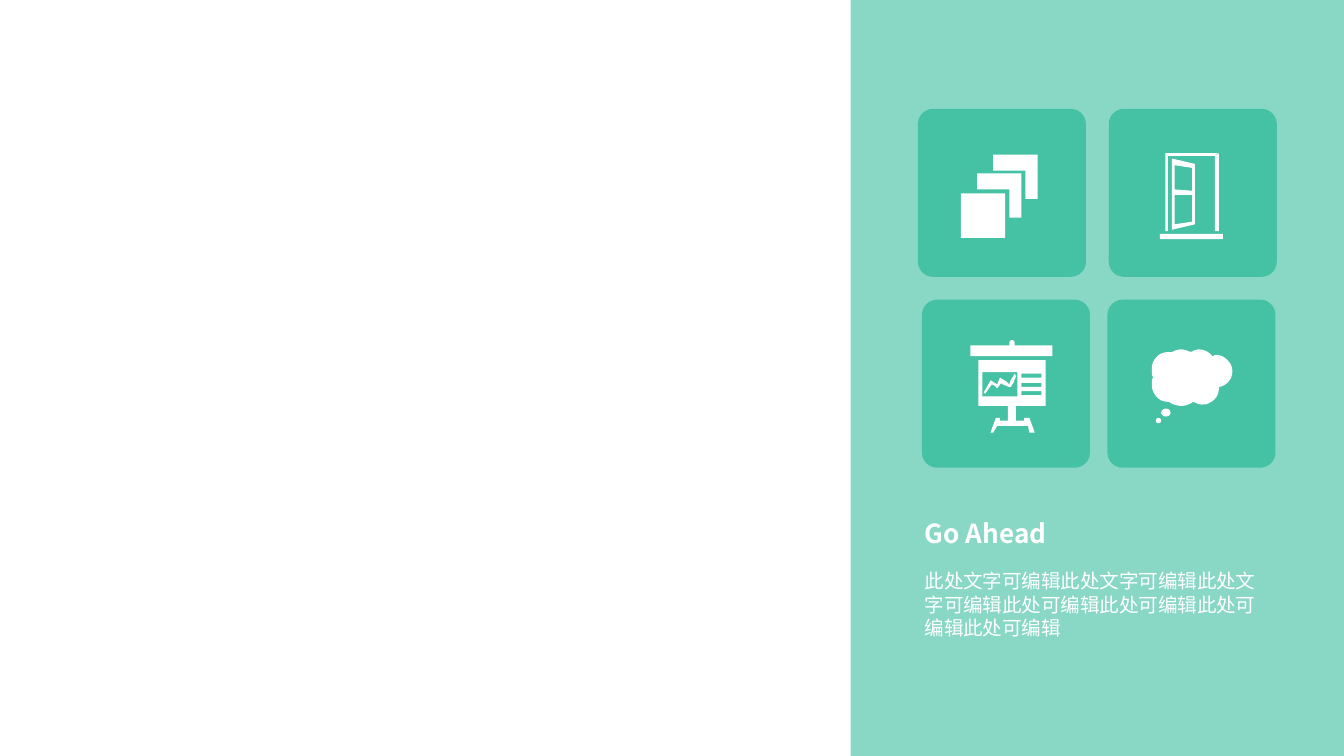
from lxml.etree import SubElement
from pptx import Presentation
from pptx.dml.color import RGBColor
from pptx.enum.shapes import MSO_SHAPE as Kind
from pptx.enum.text import MSO_AUTO_SIZE as Fit
from pptx.oxml.ns import qn
from pptx.util import Inches, Pt

COLORS = {"green": "45C1A4", "white": "FFFFFF"}
FONT = "Noto Sans CJK SC"
UNIT = 1000  # outline steps per inch
WIDE = 10
HIGH = WIDE * 9 / 16
BODY = "此处文字可编辑此处文字可编辑此处文字可编辑此处可编辑此处可编辑此处可编辑此处可编辑"


def box(x, y, w, h):
    return [(x, y), (x + w, y), (x + w, y + h), (x, y + h)]


def curve(start, arcs, steps=8):
    """Turn a chain of cubic arcs into points."""
    pts = [start]
    for arc in arcs:
        a, b, c, d = pts[-1], arc[:2], arc[2:4], arc[4:]
        for i in range(1, steps + 1):
            t = i / steps
            u = 1 - t
            pts.append(tuple(
                u**3 * a[k] + 3 * u * u * t * b[k]
                + 3 * u * t * t * c[k] + t**3 * d[k] for k in (0, 1)))
    return pts


class Deck:
    def __init__(self, w, h):
        self.prs = Presentation()
        self.prs.slide_width, self.prs.slide_height = Inches(w), Inches(h)
        self.slide = self.prs.slides.add_slide(self.prs.slide_layouts[6])
        self.root = self.slide.shapes

    def group(self):
        return self.root.add_group_shape().shapes

    def paint(self, shape, color):
        shape.shadow.inherit = False
        shape.fill.solid()
        shape.fill.fore_color.rgb = RGBColor.from_string(COLORS[color])
        shape.line.fill.background()
        return shape

    def shape(self, kind, at, color="white", into=None):
        item = (into or self.root).add_shape(kind, *map(Inches, at))
        return self.paint(item, color)

    def panel(self, at, alpha):
        item = self.shape(Kind.RECTANGLE, at, "green")
        tint = item.fill._xPr.find(".//" + qn("a:srgbClr"))
        SubElement(tint, qn("a:alpha")).set("val", str(alpha * 1000))

    def tile(self, x, y, size):
        item = self.shape(Kind.ROUNDED_RECTANGLE, (x, y, size, size), "green")
        item.adjustments[0] = 0.09

    def outline(self, into, *loops):
        """Draw one white shape; loops after the first cut holes."""
        pen = None
        for loop in loops:
            pts = [(x * UNIT, y * UNIT) for x, y in loop]
            if pen is None:
                pen = into.build_freeform(*pts[0], scale=Inches(1) / UNIT)
            else:
                pen.move_to(*pts[0])
            pen.add_line_segments(pts[1:], close=True)
        self.paint(pen.convert_to_shape(), "white")

    def text(self, at, rows):
        frame = self.root.add_textbox(*map(Inches, at)).text_frame
        frame.word_wrap = True
        frame.auto_size = Fit.NONE
        frame.margin_left = frame.margin_right = Inches(0.05)
        frame.margin_top = frame.margin_bottom = Inches(0.03)
        for i, (words, size, bold, gap) in enumerate(rows):
            para = frame.add_paragraph() if i else frame.paragraphs[0]
            para.text = words
            para.line_spacing = Pt(size * 1.2)
            para.space_before = Pt(gap)
            font = para.font
            font.name, font.size, font.bold = FONT, Pt(size), bold
            font.color.rgb = RGBColor.from_string(COLORS["white"])
            SubElement(font._rPr, qn("a:ea")).set("typeface", FONT)


def cloud(deck):
    art = deck.group()
    deck.shape(Kind.OVAL, (8.64, 3.04, 0.07, 0.06), into=art)
    deck.shape(Kind.OVAL, (8.6, 3.11, 0.04, 0.04), into=art)
    deck.outline(art, curve((9.17, 2.76), [
        (9.17, 2.7, 9.11, 2.64, 9.05, 2.64),
        (9.04, 2.64, 9.03, 2.65, 9.02, 2.65),
        (9, 2.62, 8.96, 2.6, 8.92, 2.6),
        (8.9, 2.6, 8.88, 2.61, 8.86, 2.62),
        (8.84, 2.61, 8.81, 2.6, 8.79, 2.6),
        (8.76, 2.6, 8.74, 2.61, 8.72, 2.62),
        (8.71, 2.62, 8.7, 2.62, 8.69, 2.62),
        (8.62, 2.62, 8.57, 2.68, 8.57, 2.74),
        (8.57, 2.77, 8.57, 2.79, 8.58, 2.81),
        (8.57, 2.82, 8.57, 2.85, 8.57, 2.86),
        (8.57, 2.93, 8.62, 2.99, 8.69, 2.99),
        (8.69, 2.99, 8.7, 2.99, 8.7, 2.99),
        (8.72, 3.01, 8.76, 3.02, 8.79, 3.02),
        (8.82, 3.02, 8.85, 3.01, 8.88, 2.99),
        (8.9, 3, 8.92, 3.01, 8.95, 3.01),
        (9.01, 3.01, 9.07, 2.96, 9.07, 2.89),
        (9.07, 2.89, 9.07, 2.88, 9.07, 2.88),
        (9.12, 2.87, 9.17, 2.83, 9.17, 2.76)]))


def stack(deck):
    art = deck.group()
    for x, y in [(7.27, 1.29), (7.39, 1.15)]:
        deck.outline(art, [
            (x, y), (x + 0.33, y), (x + 0.33, y + 0.33), (x + 0.24, y + 0.33),
            (x + 0.24, y + 0.12), (x, y + 0.12)])
    deck.shape(Kind.RECTANGLE, (7.15, 1.44, 0.33, 0.33), into=art)


def door(deck):
    art = deck.group()
    deck.outline(art, [(8.67, 1.14), (8.69, 1.16), (8.69, 1.72), (8.67, 1.72)])
    deck.outline(art, [(8.67, 1.14), (9.06, 1.14), (9.04, 1.16), (8.69, 1.16)])
    deck.outline(art, [(9.07, 1.14), (9.07, 1.72), (9.04, 1.72), (9.04, 1.16)])
    deck.shape(Kind.RECTANGLE, (8.63, 1.74, 0.47, 0.04), into=art)
    deck.outline(
        art,
        [(8.72, 1.18), (8.72, 1.71), (8.89, 1.67), (8.89, 1.22)],
        [(8.74, 1.23), (8.87, 1.25), (8.87, 1.42), (8.74, 1.41)],
        [(8.87, 1.65), (8.74, 1.67), (8.74, 1.45), (8.87, 1.45)])


def board(deck):
    art = deck.group()
    deck.outline(art, curve((7.55, 2.57), [
        (7.55, 2.55, 7.55, 2.55, 7.55, 2.55),
        (7.55, 2.54, 7.54, 2.53, 7.53, 2.53),
        (7.52, 2.53, 7.51, 2.54, 7.51, 2.55),
        (7.51, 2.57, 7.51, 2.57, 7.51, 2.57)])
        + [(7.22, 2.57), (7.22, 2.65), (7.83, 2.65), (7.83, 2.57)])
    stand = [
        (7.78, 3.02), (7.78, 2.68), (7.28, 2.68), (7.28, 3.02), (7.5, 3.02),
        (7.5, 3.13), (7.44, 3.13), (7.44, 3.11), (7.41, 3.11), (7.37, 3.22),
        (7.39, 3.22), (7.42, 3.17), (7.65, 3.17), (7.66, 3.22), (7.7, 3.22),
        (7.66, 3.11), (7.62, 3.11), (7.62, 3.13), (7.56, 3.13), (7.56, 3.02)]
    bars = [box(7.6, y, 0.15, 0.03) for y in (2.78, 2.85, 2.91)]
    deck.outline(art, stand, *bars, box(7.31, 2.77, 0.26, 0.18))
    deck.outline(art, [
        (7.52, 2.83), (7.51, 2.86), (7.49, 2.84), (7.44, 2.81), (7.42, 2.86),
        (7.37, 2.83), (7.36, 2.85), (7.32, 2.92), (7.33, 2.93), (7.38, 2.86),
        (7.4, 2.87), (7.42, 2.89), (7.45, 2.85), (7.46, 2.86), (7.51, 2.88),
        (7.52, 2.88), (7.54, 2.85), (7.56, 2.8), (7.55, 2.78)])


def main():
    deck = Deck(WIDE, HIGH)
    deck.panel((6.33, 0, 3.67, HIGH), 63)
    for x, y in [(6.83, 0.81), (8.25, 0.81), (6.86, 2.23), (8.24, 2.23)]:
        deck.tile(x, y, 1.25)
    for icon in (cloud, stack, door, board):
        icon(deck)
    deck.text((6.83, 3.82, 2.66, 0.97), [
        ("Go Ahead", 14, True, 0), (BODY, 10.5, False, 11)])
    deck.prs.save("out.pptx")


if __name__ == "__main__":
    main()
